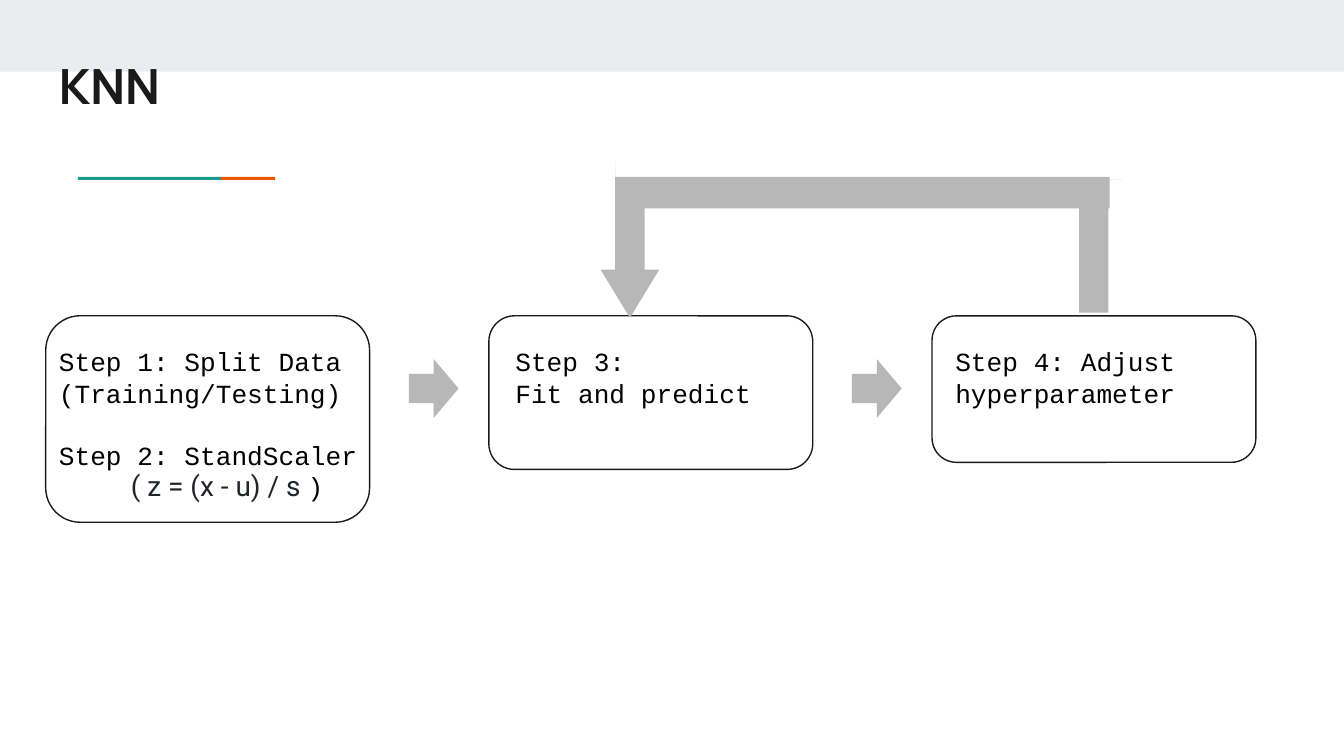
from pptx import Presentation
from pptx.dml.color import RGBColor
from pptx.enum.shapes import MSO_SHAPE
from pptx.enum.text import MSO_ANCHOR, PP_ALIGN
from pptx.util import Pt

RECT = MSO_SHAPE.RECTANGLE
ROUND = MSO_SHAPE.ROUNDED_RECTANGLE
ARROW = MSO_SHAPE.RIGHT_ARROW
TOP = MSO_ANCHOR.TOP
LEFT, CENTER = PP_ALIGN.LEFT, PP_ALIGN.CENTER

THEME = {
    "band": RGBColor.from_string("E9EDEE"),
    "teal": RGBColor.from_string("1A9988"),
    "orange": RGBColor.from_string("EB5600"),
    "outline": RGBColor.from_string("1A1A1A"),
    "arrow": RGBColor.from_string("B7B7B7"),
    "title": {"name": "Manrope", "size": Pt(26), "bold": True,
              "color": RGBColor.from_string("1A1A1A")},
    "step": {"name": "Courier New", "size": Pt(14), "bold": False,
             "color": RGBColor.from_string("000000")},
    "formula": {"name": "Roboto", "size": Pt(15), "bold": False,
                "color": RGBColor.from_string("212529")},
    "leading": Pt(16.8),
}


def add_shape(kind, x, y, w, h, fill=None, line=None):
    sp = s.shapes.add_shape(kind, Pt(x), Pt(y), Pt(w), Pt(h))
    sp.shadow.inherit = False
    if fill is None:
        sp.fill.background()
    else:
        sp.fill.solid()
        sp.fill.fore_color.rgb = fill
    if line is None:
        sp.line.fill.background()
    else:
        sp.line.color.rgb = line
        sp.line.width = Pt(0.75)
    return sp


def add_text(x, y, w, h, paragraphs, leading=None):
    tf = s.shapes.add_textbox(Pt(x), Pt(y), Pt(w), Pt(h)).text_frame
    frame = {"word_wrap": True, "vertical_anchor": TOP, "margin_left": Pt(7.2),
             "margin_right": Pt(7.2), "margin_top": Pt(7.2), "margin_bottom": Pt(7.2)}
    for key, value in frame.items():
        setattr(tf, key, value)
    for i, (runs, align, before) in enumerate(paragraphs):
        p = tf.add_paragraph() if i else tf.paragraphs[0]
        for key, value in {"alignment": align, "space_before": before,
                           "line_spacing": leading}.items():
            setattr(p, key, value)
        for text, style in runs:
            r = p.add_run()
            r.text = text
            for key, value in THEME[style].items():
                if key == "color":
                    r.font.color.rgb = value
                else:
                    setattr(r.font, key, value)


prs = Presentation()
prs.slide_width, prs.slide_height = Pt(720), Pt(405)
s = prs.slides.add_slide(prs.slide_layouts[6])

add_shape(RECT, 0, 0, 720, 38.4, THEME["band"])
add_shape(RECT, 118.4, 94.8, 29, 1.6, THEME["orange"])
add_shape(RECT, 41.8, 94.8, 76.6, 1.6, THEME["teal"])
add_text(24.5, 23, 221, 54, [([("KNN", "title")], LEFT, Pt(0))])

box_left, box_top, box_width, pitch = 24.5, 169.2, 173.5, 237.4
for i, height in enumerate((110.6, 82.3, 78.5)):
    sp = add_shape(ROUND, box_left + i * pitch, box_top, box_width, height,
                   line=THEME["outline"])
    sp.adjustments[0] = 0.167

steps = [
    (24.5, 194.4, 134.6, [
        ([("Step 1: Split Data", "step")], LEFT, Pt(0)),
        ([("(Training/Testing)", "step")], LEFT, Pt(0)),
        ([("Step 2: StandScaler", "step")], LEFT, THEME["leading"]),
        ([("( z = (x - u) / s ", "formula"), (")", "step")], CENTER, Pt(0)),
    ]),
    (269, 180, 82, [
        ([("Step 3:", "step")], LEFT, Pt(0)),
        ([("Fit and predict", "step")], LEFT, Pt(0)),
    ]),
    (504.7, 180, 65.5, [
        ([("Step 4: Adjust hyperparameter", "step")], LEFT, Pt(0)),
    ]),
]
for x, w, h, paragraphs in steps:
    add_text(x, 178, w, h, paragraphs, THEME["leading"])

arrows = [
    (219, 192.4, 26.7, 31.5, 0, 0.5),
    (219 + pitch, 192.4, 26.7, 31.5, 0, 0.5),
    (550.2, 116, 71.5, 31.5, 270, 0),
    (329.6, 86.4, 264.8, 33.6, 180, 0),
    (301.7, 118.8, 71.5, 31.5, 90, 0.82),
]
for x, y, w, h, rotation, head in arrows:
    sp = add_shape(ARROW, x, y, w, h, THEME["arrow"])
    sp.rotation = rotation
    sp.adjustments[0] = 0.5
    sp.adjustments[1] = head

prs.save("out.pptx")
